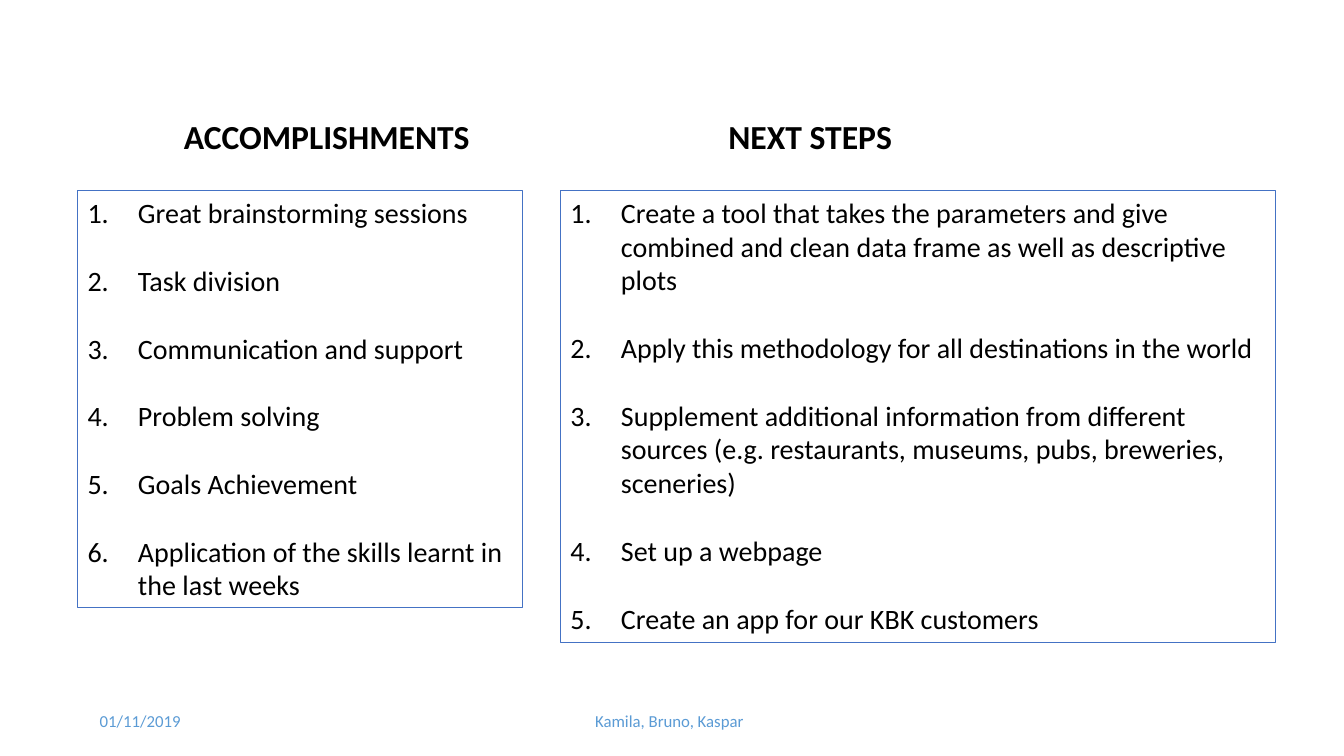
from dataclasses import dataclass

from lxml.etree import SubElement
from pptx import Presentation
from pptx.dml.color import RGBColor
from pptx.enum.shapes import MSO_SHAPE as Preset
from pptx.enum.text import MSO_ANCHOR as Anchor, PP_ALIGN as Align
from pptx.oxml.ns import qn
from pptx.util import Inches, Pt


@dataclass(frozen=True)
class Theme:
    font: str = "Calibri"
    ink: RGBColor = RGBColor(0x00, 0x00, 0x00)
    paper: RGBColor = RGBColor(0xFF, 0xFF, 0xFF)
    border: RGBColor = RGBColor(0x44, 0x72, 0xC4)
    footer_ink: RGBColor = RGBColor(0x5B, 0x9B, 0xD5)
    heading_size: Pt = Pt(24)
    item_size: Pt = Pt(20)
    item_gap: Pt = Pt(24.4)
    footer_size: Pt = Pt(12)
    border_width: Pt = Pt(0.75)
    indent: Inches = Inches(0.5)


class SlideBuilder:
    def __init__(self, slide, theme):
        self.slide = slide
        self.theme = theme

    def add_text(self, paragraph, text, size, color, bold=False):
        run = paragraph.add_run()
        run.text = text
        run.font.name = self.theme.font
        run.font.size = size
        run.font.bold = bold
        run.font.color.rgb = color

    def label(self, text, place, size, color, align, anchor, bold=False):
        frame = self.slide.shapes.add_textbox(*map(Inches, place)).text_frame
        frame.word_wrap = True
        frame.vertical_anchor = anchor
        frame.paragraphs[0].alignment = align
        self.add_text(frame.paragraphs[0], text, size, color, bold)

    def heading(self, text, left, width):
        self.label(text, (left, 1.1, width, 0.5), self.theme.heading_size,
                   self.theme.ink, Align.CENTER, Anchor.TOP, bold=True)

    def footer(self, text, left, width, align):
        self.label(text, (left, 6.95, width, 0.4), self.theme.footer_size,
                   self.theme.footer_ink, align, Anchor.MIDDLE)

    def number(self, paragraph):
        properties = paragraph._p.get_or_add_pPr()
        properties.set("marL", str(self.theme.indent))
        properties.set("indent", str(-self.theme.indent))
        SubElement(properties, qn("a:buFont"), typeface="+mj-lt")
        SubElement(properties, qn("a:buAutoNum"), type="arabicPeriod")

    def numbered_panel(self, items, left, width, height):
        panel = self.slide.shapes.add_shape(
            Preset.RECTANGLE, *map(Inches, (left, 1.89, width, height)))
        panel.shadow.inherit = False
        panel.fill.solid()
        panel.fill.fore_color.rgb = self.theme.paper
        panel.line.color.rgb = self.theme.border
        panel.line.width = self.theme.border_width
        frame = panel.text_frame
        frame.word_wrap = True
        frame.vertical_anchor = Anchor.TOP
        for position, item in enumerate(items):
            paragraph = frame.add_paragraph() if position else frame.paragraphs[0]
            self.number(paragraph)
            paragraph.alignment = Align.LEFT
            if position:
                paragraph.space_before = self.theme.item_gap
            self.add_text(paragraph, item, self.theme.item_size, self.theme.ink)


ACCOMPLISHMENTS = (
    "Great brainstorming sessions",
    "Task division",
    "Communication and support",
    "Problem solving",
    "Goals Achievement",
    "Application of the skills learnt in the last weeks",
)
NEXT_STEPS = (
    "Create a tool that takes the parameters and give combined and clean "
    "data frame as well as descriptive plots",
    "Apply this methodology for all destinations in the world",
    "Supplement additional information from different sources "
    "(e.g. restaurants, museums, pubs, breweries, sceneries)",
    "Set up a webpage",
    "Create an app for our KBK customers",
)


def main():
    deck = Presentation()
    deck.slide_width, deck.slide_height = Inches(13.33), Inches(7.5)
    blank_layout = deck.slide_layouts[6]
    builder = SlideBuilder(deck.slides.add_slide(blank_layout), Theme())
    builder.footer("01/11/2019", 0.89, 3, Align.LEFT)
    builder.footer("Kamila, Bruno, Kaspar", 4.39, 4.5, Align.CENTER)
    builder.numbered_panel(ACCOMPLISHMENTS, 0.77, 4.41, 4.14)
    builder.heading("ACCOMPLISHMENTS", 1.53, 3.42)
    builder.numbered_panel(NEXT_STEPS, 5.56, 7.09, 4.48)
    builder.heading("NEXT STEPS", 6.72, 2.63)
    deck.save("out.pptx")


if __name__ == "__main__":
    main()
